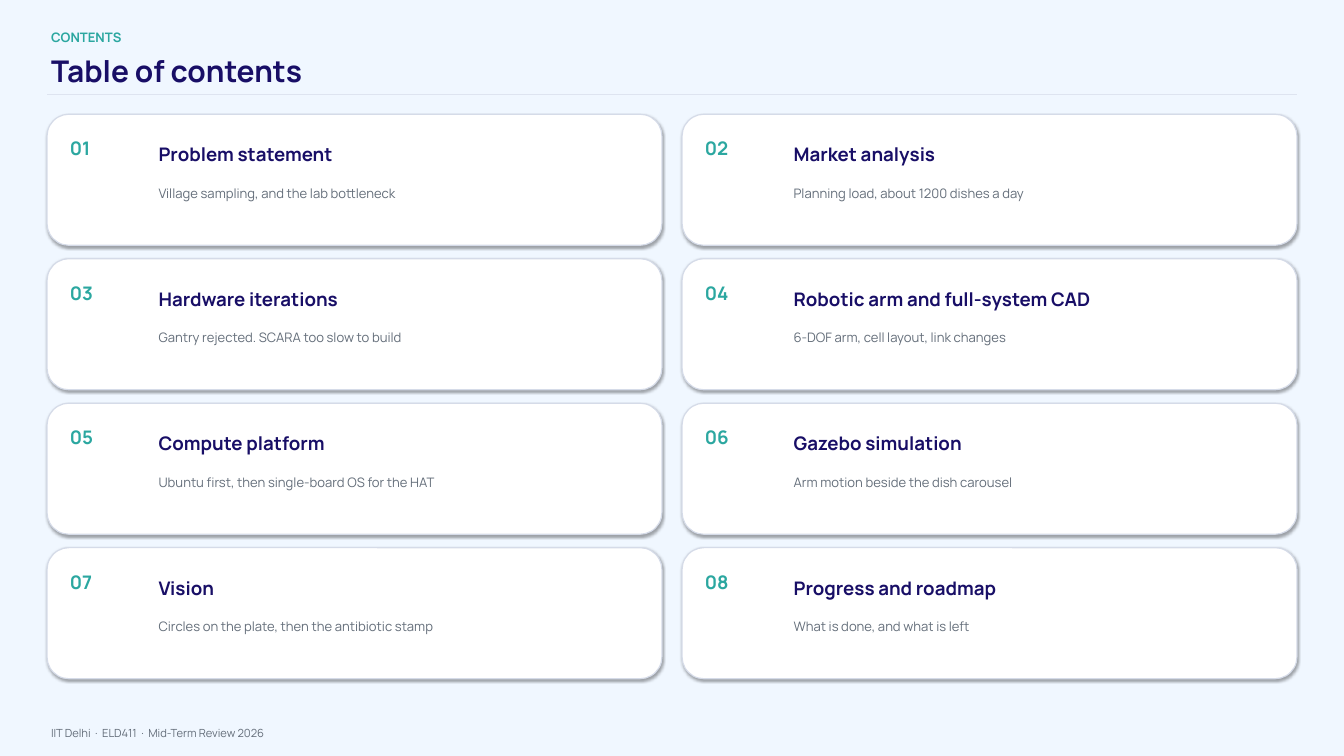
from pptx import Presentation
from pptx.dml.color import RGBColor
from pptx.enum.shapes import MSO_SHAPE
from pptx.enum.text import MSO_ANCHOR, MSO_AUTO_SIZE
from pptx.util import Inches, Pt

BACKGROUND = RGBColor(0xF0, 0xF7, 0xFF)
WHITE = RGBColor(0xFF, 0xFF, 0xFF)
RULE = RGBColor(0xD5, 0xDB, 0xE8)
TEAL = RGBColor(0x2B, 0xA7, 0xA0)
NAVY = RGBColor(0x18, 0x0E, 0x66)
GREY = RGBColor(0x64, 0x6E, 0x7A)

SECTIONS = [
    ("Problem statement", "Village sampling, and the lab bottleneck"),
    ("Market analysis", "Planning load, about 1200 dishes a day"),
    ("Hardware iterations", "Gantry rejected. SCARA too slow to build"),
    ("Robotic arm and full-system CAD", "6-DOF arm, cell layout, link changes"),
    ("Compute platform", "Ubuntu first, then single-board OS for the HAT"),
    ("Gazebo simulation", "Arm motion beside the dish carousel"),
    ("Vision", "Circles on the plate, then the antibiotic stamp"),
    ("Progress and roadmap", "What is done, and what is left"),
]
LEFT, TOP = 0.7, 1.7
CARD_W, CARD_H = 9.15, 1.95
GAP_X, GAP_Y = 0.3, 0.2

prs = Presentation()
prs.slide_width = Inches(20)
prs.slide_height = Inches(11.25)
s = prs.slides.add_slide(prs.slide_layouts[6])
s.background.fill.solid()
s.background.fill.fore_color.rgb = BACKGROUND


def add_text(x, y, w, h, text, size, color, bold=False, anchor=MSO_ANCHOR.TOP):
    tf = s.shapes.add_textbox(Inches(x), Inches(y), Inches(w), Inches(h)).text_frame
    tf.word_wrap = True
    tf.auto_size = MSO_AUTO_SIZE.SHAPE_TO_FIT_TEXT
    tf.vertical_anchor = anchor
    tf.margin_left = tf.margin_right = tf.margin_top = tf.margin_bottom = Inches(0.06)
    p = tf.paragraphs[0]
    p.text = text
    p.font.name = "Manrope"
    p.font.size = Pt(size)
    p.font.bold = bold
    p.font.color.rgb = color


def add_box(kind, x, y, w, h, color):
    sp = s.shapes.add_shape(kind, Inches(x), Inches(y), Inches(w), Inches(h))
    sp.fill.solid()
    sp.fill.fore_color.rgb = color
    return sp


add_text(LEFT, 0.38, 8, 0.32, "CONTENTS", 14, TEAL, True)
add_text(LEFT, 0.72, 16, 0.55, "Table of contents", 32, NAVY, True)
rule = add_box(MSO_SHAPE.RECTANGLE, LEFT, 1.4, 18.6, 0.01, RULE)
rule.line.fill.background()

for i, (title, summary) in enumerate(SECTIONS):
    row, col = divmod(i, 2)
    x = LEFT + col * (CARD_W + GAP_X)
    y = TOP + row * (CARD_H + GAP_Y)
    card = add_box(MSO_SHAPE.ROUNDED_RECTANGLE, x, y, CARD_W, CARD_H, WHITE)
    card.line.color.rgb = RULE
    card.line.width = Pt(1.25)
    add_text(x + 0.28, y + 0.28, 1.3, 0.45, f"{i + 1:02d}", 20, TEAL, True)
    add_text(x + 1.6, y + 0.32, 7.2, 0.55, title, 20, NAVY, True, MSO_ANCHOR.MIDDLE)
    add_text(x + 1.6, y + 1, 7.2, 0.6, summary, 14, GREY)

add_text(LEFT, 10.75, 10, 0.28, "IIT Delhi  ·  ELD411  ·  Mid-Term Review 2026", 12, GREY)

prs.save("out.pptx")
